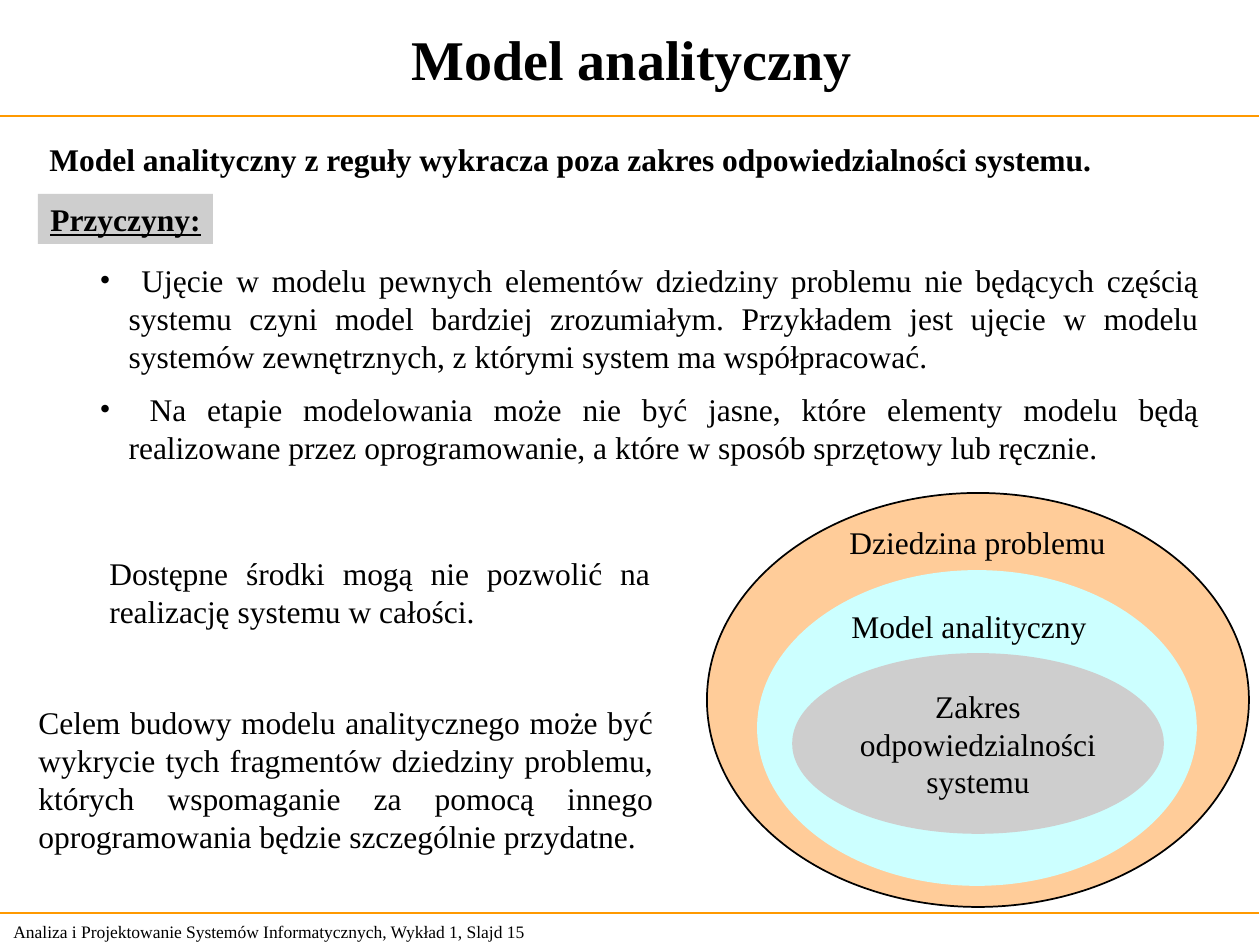
"""Builds a slide on how an analytical model exceeds the system's scope."""
from lxml import etree
from pptx import Presentation
from pptx.dml.color import RGBColor
from pptx.enum.shapes import MSO_CONNECTOR, MSO_SHAPE
from pptx.enum.text import MSO_ANCHOR, MSO_AUTO_SIZE, PP_ALIGN
from pptx.oxml.ns import qn
from pptx.util import Emu, Pt

WIDTH, HEIGHT = 1260, 945
EMU_PER_PX = 914400 / 126
FONT = "Times New Roman"
BLACK = RGBColor(0x00, 0x00, 0x00)
ORANGE = RGBColor(0xFF, 0x99, 0x00)
PEACH = RGBColor(0xFF, 0xCC, 0x99)
AQUA = RGBColor(0xCC, 0xFF, 0xFF)
GREY = RGBColor(0xCE, 0xCE, 0xCE)

REASONS = [
    " Ujęcie w modelu pewnych elementów dziedziny problemu nie będących częścią "
    "systemu czyni model bardziej zrozumiałym. Przykładem jest ujęcie w modelu "
    "systemów zewnętrznych, z którymi system ma współpracować.",
    " Na etapie modelowania może nie być jasne, które elementy modelu będą "
    "realizowane przez oprogramowanie, a które w sposób sprzętowy lub ręcznie.",
]
RESOURCES = "Dostępne środki mogą nie pozwolić na realizację systemu w całości."
PURPOSE = (
    "Celem budowy modelu analitycznego może być wykrycie tych fragmentów dziedziny "
    "problemu, których wspomaganie za pomocą innego oprogramowania będzie "
    "szczególnie przydatne."
)


def px(length):
    """Turns pixels into EMU."""
    return Emu(round(length * EMU_PER_PX))


def place(shape, left, top, width, height):
    """Moves and sizes a shape in pixels."""
    shape.left, shape.top = px(left), px(top)
    shape.width, shape.height = px(width), px(height)


def write(shape, lines, size=18, bold=False, underline=False, align=PP_ALIGN.LEFT,
          anchor=MSO_ANCHOR.TOP, wrap=True):
    """Fills a shape with evenly formatted paragraphs."""
    frame = shape.text_frame
    frame.text = "\n".join(lines)
    frame.auto_size = MSO_AUTO_SIZE.NONE
    frame.word_wrap = wrap
    frame.vertical_anchor = anchor
    for paragraph in frame.paragraphs:
        paragraph.alignment = align
        paragraph.space_before = Pt(0)
        font = paragraph.font
        font.name, font.size = FONT, Pt(size)
        font.bold, font.underline = bold, underline
        font.color.rgb = BLACK


def add_text(slide, box, text, **style):
    """Adds a text box."""
    label = slide.shapes.add_textbox(*map(px, box))
    write(label, [text], **style)


def add_figure(slide, kind, box, fill, outline=None):
    """Adds a filled preset shape, outlined if a colour is given."""
    figure = slide.shapes.add_shape(kind, *map(px, box))
    figure.shadow.inherit = False
    figure.fill.solid()
    figure.fill.fore_color.rgb = fill
    if outline is None:
        figure.line.fill.background()
    else:
        figure.line.color.rgb = outline
        figure.line.width = Pt(1)
    return figure


def add_rule(slide, y):
    """Adds a thin horizontal line across the slide."""
    rule = slide.shapes.add_connector(
        MSO_CONNECTOR.STRAIGHT, px(-1), px(y), px(WIDTH - 1), px(y))
    rule.line.color.rgb = ORANGE
    rule.line.width = Pt(0.75)
    etree.SubElement(rule.element.spPr, qn("a:effectLst"))


def add_reasons(body):
    """Formats the body placeholder as a justified bullet list."""
    place(body, 87, 255, 1125, 219)
    for index, reason in enumerate(REASONS):
        frame = body.text_frame
        paragraph = frame.paragraphs[0] if index == 0 else frame.add_paragraph()
        paragraph.text = reason
        properties = paragraph._p.get_or_add_pPr()
        properties.set("marL", str(px(29)))
        properties.set("indent", str(px(-29)))
        colour = etree.SubElement(properties, qn("a:buClr"))
        etree.SubElement(colour, qn("a:srgbClr"), val=str(BLACK))
        etree.SubElement(properties, qn("a:buFont"), typeface=FONT)
        etree.SubElement(properties, qn("a:buChar"), char="•")
        paragraph.alignment = PP_ALIGN.JUSTIFY
        paragraph.space_before = Pt(9 if index else 0)
        paragraph.font.name, paragraph.font.size = FONT, Pt(18)
        paragraph.font.color.rgb = BLACK
    frame.auto_size = MSO_AUTO_SIZE.NONE


def add_scope_diagram(slide):
    """Draws the nested ellipses of domain, model and system scope."""
    add_figure(slide, MSO_SHAPE.OVAL, (707, 493, 542, 414), PEACH, BLACK)
    add_figure(slide, MSO_SHAPE.OVAL, (758, 571, 438, 314), AQUA, AQUA)
    scope = add_figure(slide, MSO_SHAPE.OVAL, (793, 654, 370, 179), GREY, GREY)
    write(scope, ["Zakres", "odpowiedzialności", "systemu"],
          align=PP_ALIGN.CENTER, anchor=MSO_ANCHOR.MIDDLE, wrap=False)
    add_text(slide, (837, 517, 281, 50), "Dziedzina problemu", wrap=False)
    add_text(slide, (839, 601, 260, 50), "Model analityczny", wrap=False)


def main():
    """Builds and saves the slide."""
    deck = Presentation()
    deck.slide_width, deck.slide_height = px(WIDTH), px(HEIGHT)
    slide = deck.slides.add_slide(deck.slide_layouts[1])
    title, body = slide.placeholders

    place(title, 0, 0, 1264, 116)
    write(title, ["Model analityczny"], size=32, bold=True,
          align=PP_ALIGN.CENTER, anchor=MSO_ANCHOR.MIDDLE)
    add_reasons(body)
    for y in (116, 913):
        add_rule(slide, y)

    add_text(slide, (37, 134, 1076, 50),
             "Model analityczny z reguły wykracza poza zakres odpowiedzialności systemu.",
             bold=True, wrap=False)
    causes = add_figure(slide, MSO_SHAPE.RECTANGLE, (38, 194, 175, 50), GREY)
    write(causes, ["Przyczyny:"], bold=True, underline=True, wrap=False)
    add_text(slide, (97, 548, 566, 88), RESOURCES, align=PP_ALIGN.JUSTIFY)
    add_text(slide, (26, 697, 640, 164), PURPOSE, align=PP_ALIGN.JUSTIFY)
    add_scope_diagram(slide)
    add_text(slide, (1, 914, 599, 34),
             "Analiza i Projektowanie Systemów Informatycznych, Wykład 1, Slajd 15",
             size=10, anchor=MSO_ANCHOR.MIDDLE)
    deck.save("out.pptx")


if __name__ == "__main__":
    main()
